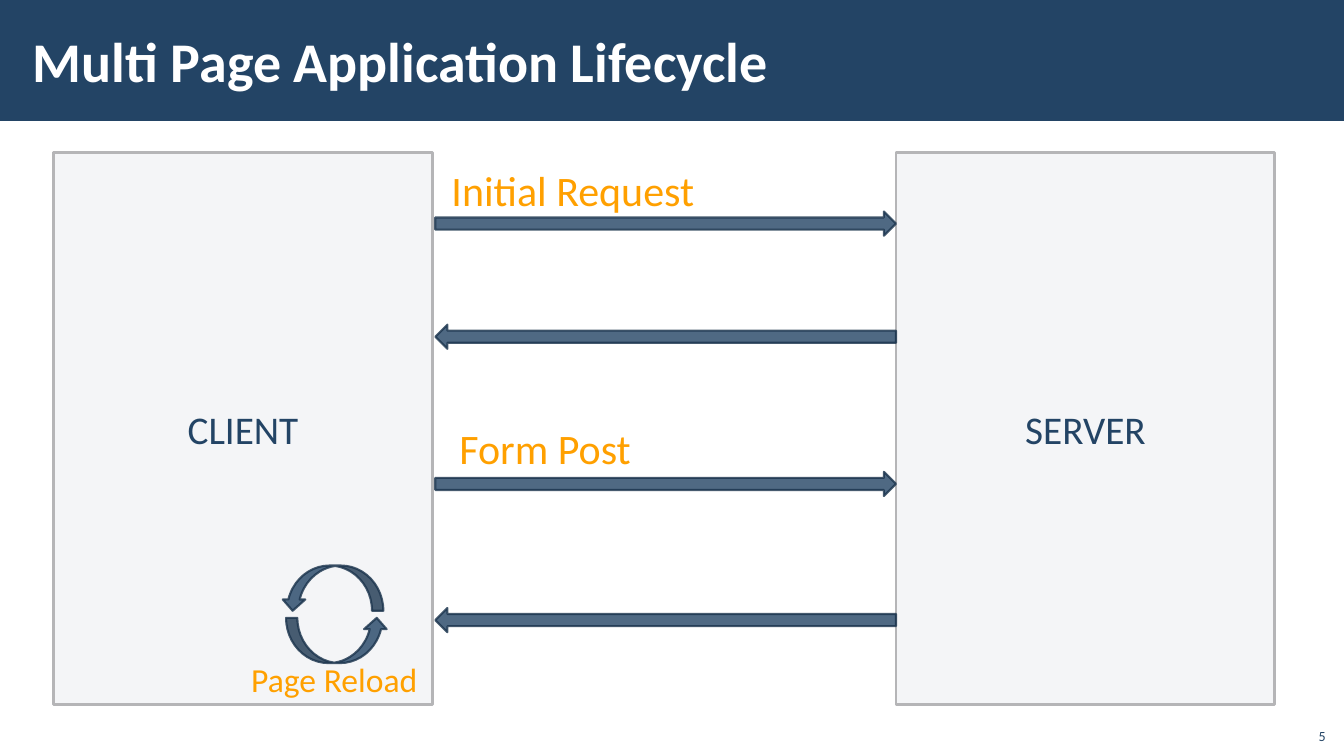
from lxml.etree import SubElement
from pptx import Presentation
from pptx.dml.color import RGBColor
from pptx.enum.shapes import MSO_SHAPE
from pptx.enum.text import MSO_ANCHOR, MSO_AUTO_SIZE, PP_ALIGN
from pptx.oxml.ns import qn
from pptx.util import Cm, Pt

NAVY = RGBColor(0x23, 0x44, 0x65)
DARK_NAVY = RGBColor(0x1A, 0x33, 0x4C)
ORANGE = RGBColor(0xFF, 0xA0, 0x00)
PALE = RGBColor(0xF4, 0xF5, 0xF7)
GREY = RGBColor(0xB5, 0xB5, 0xB7)
WHITE = RGBColor(0xFF, 0xFF, 0xFF)


class SlideBuilder:
    font = "Calibri"
    arrow_opacity = 80

    def __init__(self, slide):
        self.slide = slide

    def add_text(self, tf, text, size, color, align, anchor, bold=False):
        tf.vertical_anchor = anchor
        p = tf.paragraphs[0]
        p.alignment = align
        r = p.add_run()
        r.text = text
        r.font.name = self.font
        r.font.size = Pt(size)
        r.font.bold = bold
        r.font.color.rgb = color

    def shape(self, kind, box, fill, line=None, width=0):
        sp = self.slide.shapes.add_shape(kind, *map(Cm, box))
        sp.shadow.inherit = False
        sp.fill.solid()
        sp.fill.fore_color.rgb = fill
        if line is None:
            sp.line.fill.background()
        else:
            sp.line.color.rgb = line
            sp.line.width = Pt(width)
        return sp

    def title(self, text, box, banner_box):
        sp = self.slide.shapes.title
        banner = self.shape(MSO_SHAPE.RECTANGLE, banner_box, NAVY)
        sp.element.addprevious(banner.element)
        sp.left, sp.top, sp.width, sp.height = map(Cm, box)
        tf = sp.text_frame
        tf.word_wrap = True
        tf.auto_size = MSO_AUTO_SIZE.NONE
        tf.margin_left = tf.margin_right = Cm(0.3)
        tf.margin_top = tf.margin_bottom = Cm(0.1)
        self.add_text(tf, text, 40, WHITE, PP_ALIGN.LEFT, MSO_ANCHOR.MIDDLE, True)

    def panel(self, text, box):
        sp = self.shape(MSO_SHAPE.RECTANGLE, box, PALE, GREY, 2)
        self.add_text(sp.text_frame, text, 28, NAVY, PP_ALIGN.CENTER, MSO_ANCHOR.MIDDLE)

    def arrow(self, kind, box, rotation=0):
        sp = self.shape(kind, box, NAVY, DARK_NAVY, 1.5)
        sp.rotation = rotation
        for color in sp.element.spPr.iter(qn("a:srgbClr")):
            SubElement(color, qn("a:alpha"), val=str(self.arrow_opacity * 1000))

    def label(self, text, box, size):
        tf = self.slide.shapes.add_textbox(*map(Cm, box)).text_frame
        tf.word_wrap = False
        tf.auto_size = MSO_AUTO_SIZE.SHAPE_TO_FIT_TEXT
        self.add_text(tf, text, size, ORANGE, PP_ALIGN.CENTER, MSO_ANCHOR.TOP)

    def page_number(self, text, box):
        tf = self.slide.shapes.add_textbox(*map(Cm, box)).text_frame
        tf.word_wrap = True
        self.add_text(tf, text, 10, NAVY, PP_ALIGN.RIGHT, MSO_ANCHOR.BOTTOM)


def main():
    prs = Presentation()
    prs.slide_width, prs.slide_height = Cm(33.87), Cm(19.05)
    s = SlideBuilder(prs.slides.add_slide(prs.slide_layouts[5]))

    s.title("Multi Page Application Lifecycle", (0.53, 0.28, 27, 2.46), (0, 0, 33.87, 3.05))

    for name, left in (("CLIENT", 1.35), ("SERVER", 22.58)):
        s.panel(name, (left, 3.84, 9.55, 13.92))

    # Requests point right; responses are the same arrow turned round.
    for top, rotation in ((5.33, 0), (11.89, 0), (8.18, 180), (15.32, 180)):
        s.arrow(MSO_SHAPE.RIGHT_ARROW, (10.97, top, 11.61, 0.61), rotation)

    for left, top, rotation in ((7.09, 14.25, 180), (7.21, 15.57, 0)):
        s.arrow(MSO_SHAPE.CURVED_UP_ARROW, (left, top, 2.57, 1.14), rotation)

    s.label("Initial Request", (11.1, 4.01, 6.68, 1.55), 30)
    s.label("Form Post", (11.3, 10.52, 4.88, 1.55), 30)
    s.label("Page Reload", (6.05, 16.48, 4.75, 1.27), 24)
    s.page_number("5", (32.64, 18.08, 1.02, 0.81))

    prs.save("out.pptx")


if __name__ == "__main__":
    main()
